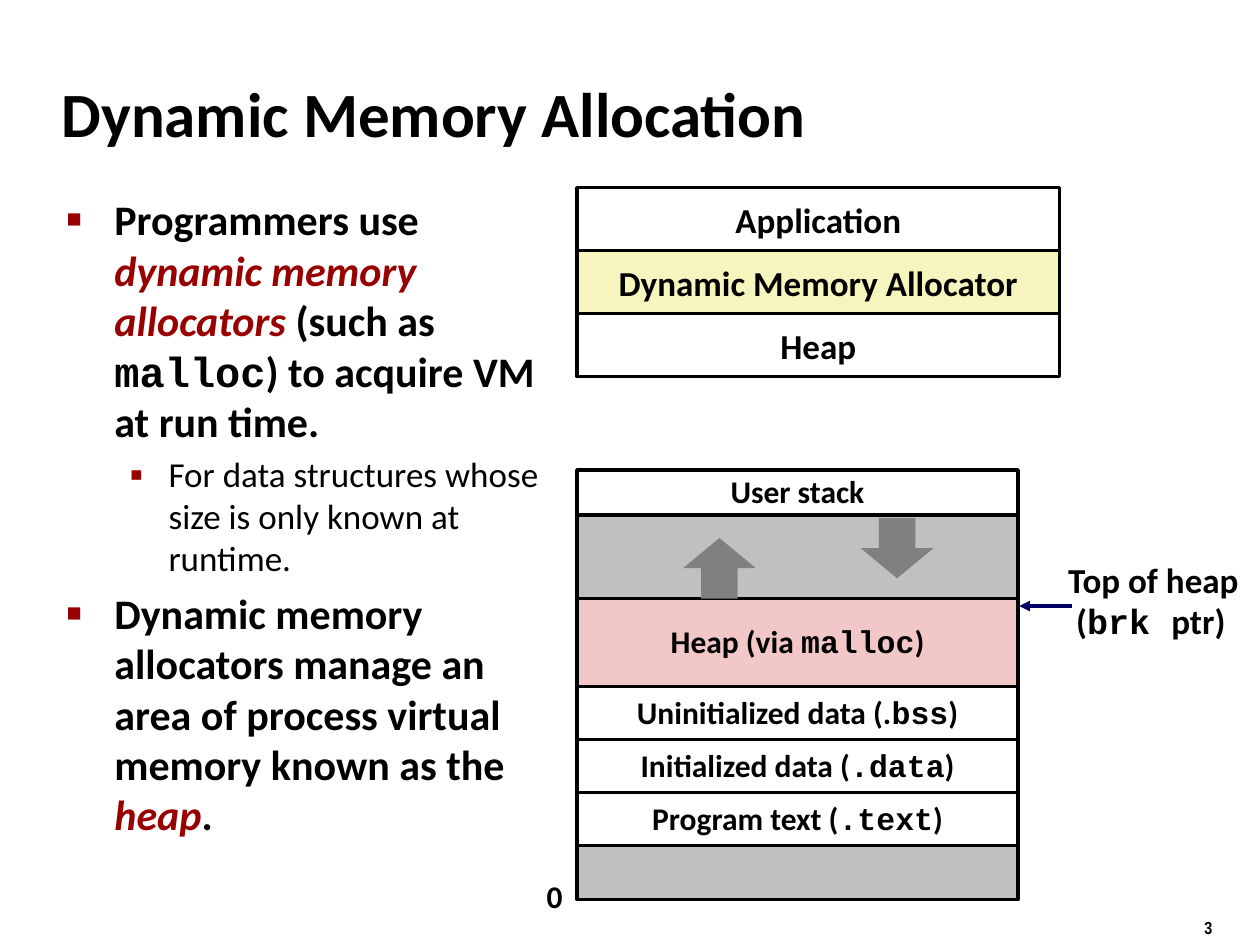
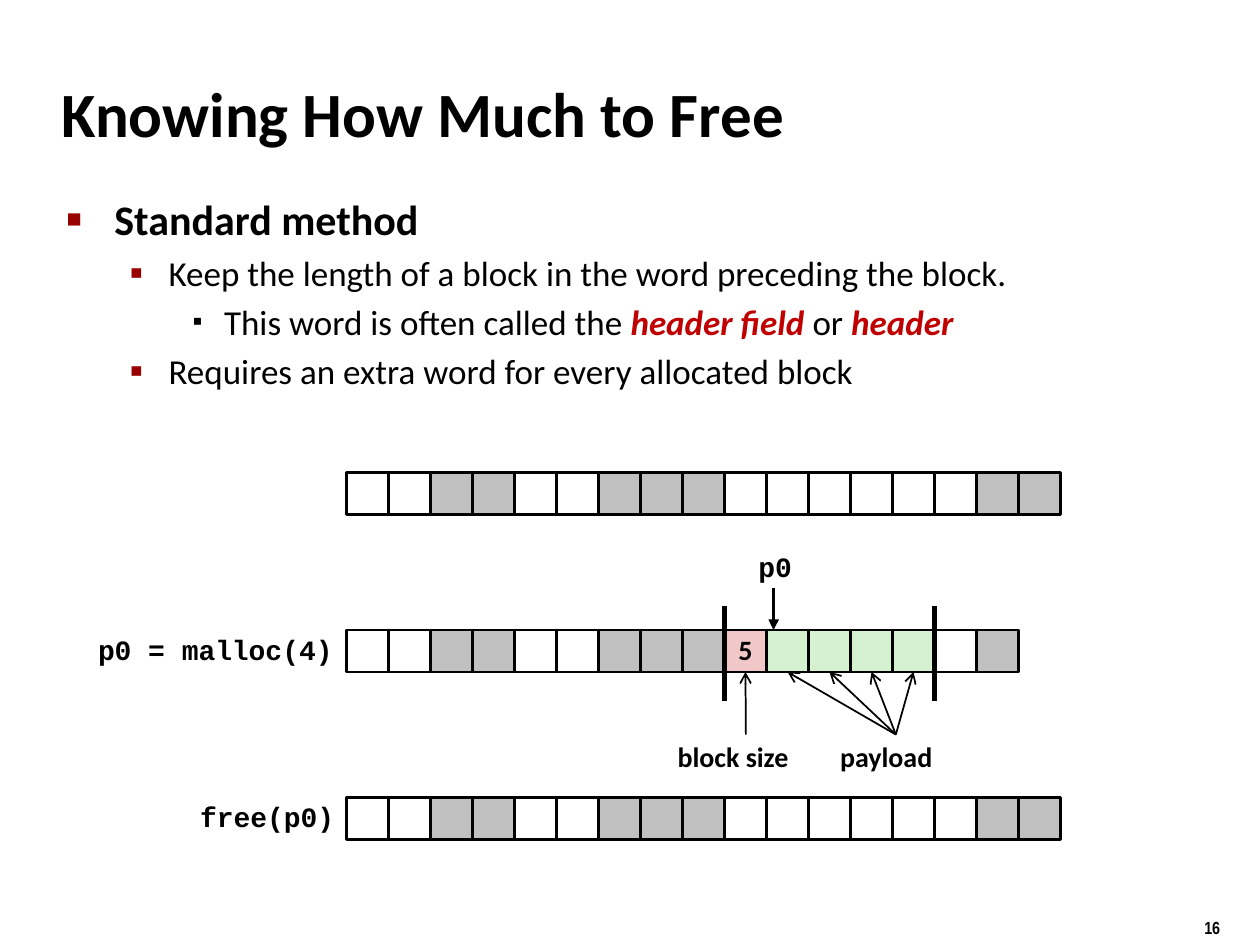
from itertools import accumulate
from lxml.etree import SubElement
from pptx import Presentation
from pptx.dml.color import RGBColor
from pptx.enum.shapes import MSO_CONNECTOR, MSO_SHAPE as Shape
from pptx.enum.text import MSO_ANCHOR as Anchor, MSO_AUTO_SIZE as Fit, PP_ALIGN as Align
from pptx.oxml.ns import qn
from pptx.util import Inches, Pt

HUES = {
    "black": "000000", "white": "FFFFFF", "grey": "C0C0C0", "dark": "808080",
    "pink": "F1C7C7", "cream": "F6F5BD", "green": "D5F1CF", "navy": "000066",
    "maroon": "990000", "red": "C00000",
}
SANS, MONO, SLIM = "Calibri", "Courier New", "Arial Narrow"

STYLES = {
    "code": {"face": MONO},
    "term": {"hue": "maroon", "slant": True},
    "key": {"hue": "red", "slant": True, "bold": True},
}
LEVELS = [
    {"size": 24, "bold": True, "left": 0.38, "hang": 0.38, "gap": 4.8,
     "mark": "■", "tint": "maroon", "scale": 60},
    {"size": 20, "bold": False, "left": 0.81, "hang": 0.31, "gap": 4,
     "mark": "▪", "tint": "maroon", "scale": 110},
    {"size": 20, "bold": False, "left": 1.25, "hang": 0.25, "gap": 4,
     "mark": "▪", "tint": "black", "scale": 80},
]

ALLOC = [
    (0, ["Programmers use ", ("dynamic memory allocators ", "term"), "(such as ",
         ("malloc", "code"), ") to acquire VM at run time."]),
    (1, ["For data structures whose size is only known at runtime."]),
    (0, ["Dynamic memory allocators manage an area of process virtual memory known as the ",
         ("heap", "term"), "."]),
]
FREE = [
    (0, ["Standard method"]),
    (1, ["Keep the length of a block in the word preceding the block."]),
    (2, ["This word is often called the ", ("header field ", "key"), "or ", ("header", "key")]),
    (1, ["Requires an extra word for every allocated block"]),
]

LAYERS = [("Application", "white"), ("Dynamic Memory Allocator", "cream"), ("Heap", "white")]
MEMORY = [
    (0.36, "white", ["User stack"]),
    (0.66, "grey", []),
    (0.70, "pink", ["Heap (via ", ("malloc", "code"), ")"]),
    (0.42, "white", ["Uninitialized data (.", ("bss", "code"), ")"]),
    (0.42, "white", ["Initialized data (", (".data", "code"), ")"]),
    (0.42, "white", ["Program text (", (".text", "code"), ")"]),
    (0.43, "grey", []),
]
GROWTH = [(Shape.DOWN_ARROW, 6.83, 4.11), (Shape.UP_ARROW, 5.42, 4.27)]

CELL, START = 1 / 3, 2.75
FILLS = {".": "white", "#": "grey", "h": "pink", "p": "green"}
ROWS = [
    (3.75, "..##..###......##"),
    (5.00, "..##..###hpppp.#"),
    (6.33, "..##..###......##"),
]
LABELS = [
    (0.68, 4.99, 2.1, "p0 = malloc(4)", MONO),
    (5.92, 4.33, 0.55, "p0", MONO),
    (1.49, 6.32, 1.4, "free(p0)", MONO),
    (5.28, 5.83, 1.3, "block size", SANS),
    (6.57, 5.83, 1.1, "payload", SANS),
]


def color(name):
    return RGBColor.from_string(HUES[name])


def write(para, runs, size, face=SANS, bold=True):
    for run in runs:
        text, style = run if isinstance(run, tuple) else (run, None)
        look = STYLES.get(style, {})
        part = para.add_run()
        part.text = text
        font = part.font
        font.size = Pt(size)
        font.name = look.get("face", face)
        font.bold = look.get("bold", bold)
        font.italic = look.get("slant", False)
        font.color.rgb = color(look.get("hue", "black"))


def frame(slide, x, y, w, h):
    return slide.shapes.add_textbox(Inches(x), Inches(y), Inches(w), Inches(h)).text_frame


def label(slide, x, y, w, h, lines, size, face=SANS, space=0.98):
    box = frame(slide, x, y, w, h)
    box.word_wrap = False
    box.auto_size = Fit.SHAPE_TO_FIT_TEXT
    for i, runs in enumerate(lines):
        para = box.add_paragraph() if i else box.paragraphs[0]
        para.line_spacing = space
        write(para, runs, size, face)


def bullet(para, level):
    para.space_before = Pt(level["gap"])
    props = para._p.get_or_add_pPr()
    props.set("marL", str(Inches(level["left"])))
    props.set("indent", str(-Inches(level["hang"])))
    tint = SubElement(props, qn("a:buClr"))
    SubElement(tint, qn("a:srgbClr"), val=HUES[level["tint"]])
    SubElement(props, qn("a:buSzPct"), val=str(level["scale"] * 1000))
    SubElement(props, qn("a:buFont"), typeface="Arial")
    SubElement(props, qn("a:buChar"), char=level["mark"])


def shape(slide, kind, x, y, w, h, fill, line=None):
    item = slide.shapes.add_shape(kind, Inches(x), Inches(y), Inches(w), Inches(h))
    item.shadow.inherit = False
    item.fill.solid()
    item.fill.fore_color.rgb = color(fill)
    if line:
        item.line.color.rgb = color("black")
        item.line.width = Pt(line)
    else:
        item.line.fill.background()
    return item


def block(slide, x, y, w, h, fill, runs, size, line=2, space=1.0):
    box = shape(slide, Shape.RECTANGLE, x, y, w, h, fill, line).text_frame
    box.word_wrap = False
    box.vertical_anchor = Anchor.MIDDLE
    para = box.paragraphs[0]
    para.alignment = Align.CENTER
    para.line_spacing = space
    write(para, runs, size)


def stroke(slide, start, end, width, head=None, hue="black"):
    ends = [Inches(v) for v in (*start, *end)]
    item = slide.shapes.add_connector(MSO_CONNECTOR.STRAIGHT, *ends)
    item.line.color.rgb = color(hue)
    item.line.width = Pt(width)
    if head:
        SubElement(item.line._get_or_add_ln(), qn("a:tailEnd"), type=head)
    SubElement(item._element.spPr, qn("a:effectLst"))


def page(deck, title, number, points, width):
    slide = deck.slides.add_slide(deck.slide_layouts[6])
    label(slide, 9.46, 7.23, 0.74, 0.26, [[number]], 10, SLIM, 1.0)
    head = frame(slide, 0.39, 0.48, 8.3, 0.83)
    head.word_wrap = True
    head.vertical_anchor = Anchor.MIDDLE
    write(head.paragraphs[0], [title], 36)
    body = frame(slide, 0.43, 1.49, width, 5.44)
    body.word_wrap = True
    for i, (depth, runs) in enumerate(points):
        para = body.add_paragraph() if i else body.paragraphs[0]
        level = LEVELS[depth]
        bullet(para, level)
        write(para, runs, level["size"], bold=level["bold"])
    return slide


def alloc(deck):
    slide = page(deck, "Dynamic Memory Allocation", "3", ALLOC, 4.14)
    for i, (text, fill) in enumerate(LAYERS):
        block(slide, 4.58, 1.49 + i * 0.5, 3.83, 0.5, fill, [text], 20)
    tops = accumulate((h for h, _, _ in MEMORY), initial=3.73)
    for top, (high, fill, runs) in zip(tops, MEMORY):
        block(slide, 4.58, top, 3.5, high, fill, runs, 18, space=0.98)
    for kind, x, y in GROWTH:
        shape(slide, kind, x, y, 0.58, 0.48, "dark")
    label(slide, 4.24, 6.93, 0.34, 0.4, [["0"]], 18)
    brk = [["Top of heap"], [" (", ("brk ", "code"), "ptr)"]]
    label(slide, 8.38, 4.4, 1.8, 0.76, brk, 20)
    stroke(slide, (8.51, 4.81), (8.09, 4.81), 2, "triangle", "navy")


def free(deck):
    slide = page(deck, "Knowing How Much to Free", "16", FREE, 8.64)
    for top, cells in ROWS:
        for i, mark in enumerate(cells):
            runs = ["5"] if mark == "h" else []
            block(slide, START + i * CELL, top, CELL, CELL, FILLS[mark], runs, 16, 1.25, 0.98)
    for x, y, w, text, face in LABELS:
        label(slide, x, y, w, 0.35, [[text]], 16, face, 0.94 if face == MONO else 0.98)

    top, cells = ROWS[1]
    first = cells.index("h")
    for edge in (first, cells.rindex("p") + 1):
        x = START + edge * CELL
        stroke(slide, (x, 4.81), (x, 5.56), 3)
    stroke(slide, (6.14, 4.67), (6.14, top), 2, "triangle")
    for i, mark in enumerate(cells):
        if mark in "hp":
            foot = 5.92 if mark == "h" else 7.11
            tip = START + (i + 0.5) * CELL
            stroke(slide, (foot, 5.83), (tip, top + CELL), 1, "arrow")


def main():
    deck = Presentation()
    deck.slide_width, deck.slide_height = Inches(10), Inches(7.5)
    alloc(deck)
    free(deck)
    deck.save("out.pptx")


if __name__ == "__main__":
    main()
